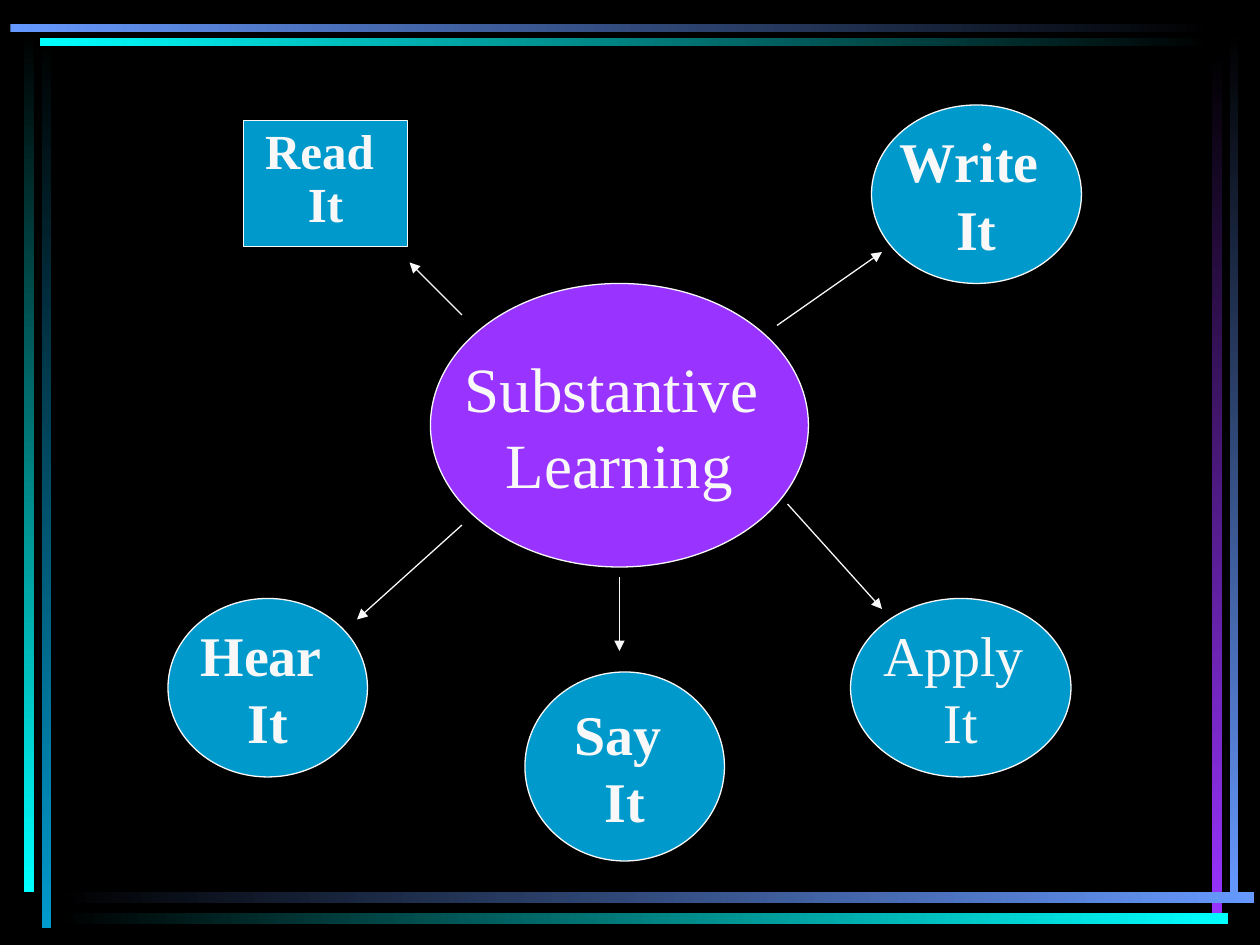
import pptx
import pptx.dml.color
import pptx.enum.shapes
import pptx.enum.text
import pptx.oxml.ns
import pptx.util
from lxml import etree
from dataclasses import dataclass

COLUMNS, ROWS = 120, 90  # grid cells of a twelfth of an inch


@dataclass(frozen=True)
class Theme:
    background: str = "000000"
    text: str = "F8F8F8"
    purple: str = "9933FF"
    teal: str = "0099CC"
    cyan: str = "00FFFF"
    blue: str = "6699FF"
    font: str = "Times New Roman"
    hub_size: int = 36
    branch_size: int = 32
    body_size: int = 28
    line_width: float = 0.75


def rgb(value):
    return pptx.dml.color.RGBColor.from_string(value)


def apply_format(target, values):
    for name, value in values.items():
        setattr(target, name, value)


class DiagramSlide:
    """Holds the theme and the current slide; draws on the grid."""

    def __init__(self, presentation, theme):
        self.theme = theme
        self.cell_width = presentation.slide_width / COLUMNS
        self.cell_height = presentation.slide_height / ROWS
        self.slide = presentation.slides.add_slide(presentation.slide_layouts[1])
        title = self.slide.shapes.title.element
        title.getparent().remove(title)
        fill = self.slide.background.fill
        fill.solid()
        fill.fore_color.rgb = rgb(theme.background)

    def place(self, column, row, width, height):
        return [round(column * self.cell_width), round(row * self.cell_height),
                round(width * self.cell_width), round(height * self.cell_height)]

    def paint(self, shape, color):
        shape.fill.solid()
        shape.fill.fore_color.rgb = rgb(color)
        self.outline(shape)

    def outline(self, shape):
        shape.line.color.rgb = rgb(self.theme.text)
        shape.line.width = pptx.util.Pt(self.theme.line_width)

    def label(self, shape, lines, size, bold, paragraph_format):
        frame = shape.text_frame
        frame.text = "\n".join(lines)
        for paragraph in frame.paragraphs:
            apply_format(paragraph, {"alignment": pptx.enum.text.PP_ALIGN.CENTER,
                                     **paragraph_format})
            apply_format(paragraph.font, {"name": self.theme.font, "bold": bold,
                                          "size": pptx.util.Pt(size)})
            paragraph.font.color.rgb = rgb(self.theme.text)

    def bar(self, box, start, end, vertical):
        shape = self.slide.shapes.add_shape(
            pptx.enum.shapes.MSO_SHAPE.RECTANGLE, *self.place(*box))
        shape.shadow.inherit = False
        shape.line.fill.background()
        shape.fill.gradient()
        shape.fill.gradient_angle = 270 if vertical else 0
        for stop, color in zip(shape.fill.gradient_stops, (start, end)):
            stop.color.rgb = rgb(color)

    def oval(self, box, lines, color, size, bold):
        shape = self.slide.shapes.add_shape(
            pptx.enum.shapes.MSO_SHAPE.OVAL, *self.place(*box))
        shape.shadow.inherit = False
        self.paint(shape, color)
        apply_format(shape.text_frame, {
            "word_wrap": False,
            "vertical_anchor": pptx.enum.text.MSO_ANCHOR.MIDDLE})
        self.label(shape, lines, size, bold, {})

    def body(self, box, lines, color):
        shape = self.slide.placeholders[1]
        apply_format(shape, dict(zip(("left", "top", "width", "height"),
                                     self.place(*box))))
        self.paint(shape, color)
        apply_format(shape.text_frame, {
            "word_wrap": True, "auto_size": pptx.enum.text.MSO_AUTO_SIZE.NONE,
            "vertical_anchor": pptx.enum.text.MSO_ANCHOR.TOP})
        self.label(shape, lines, self.theme.body_size, True, {
            "line_spacing": 0.9, "space_before": pptx.util.Pt(0)})
        indent = pptx.util.Inches(0.38)
        for paragraph in shape.text_frame.paragraphs:
            properties = paragraph._p.get_or_add_pPr()
            properties.set("marL", str(indent))
            properties.set("indent", str(-indent))
            bullet = etree.Element(pptx.oxml.ns.qn("a:buNone"))
            properties.insert_element_before(bullet, "a:tabLst", "a:defRPr", "a:extLst")

    def arrow(self, start, end):
        connector = self.slide.shapes.add_connector(
            pptx.enum.shapes.MSO_CONNECTOR.STRAIGHT,
            *self.place(*start, *end))
        self.outline(connector)
        etree.SubElement(connector.line._get_or_add_ln(),
                         pptx.oxml.ns.qn("a:tailEnd"), type="triangle")
        etree.SubElement(connector.element.spPr, pptx.oxml.ns.qn("a:effectLst"))


def main():
    presentation = pptx.Presentation()
    presentation.slide_width = pptx.util.Inches(10)
    presentation.slide_height = pptx.util.Inches(7.5)
    theme = Theme()
    diagram = DiagramSlide(presentation, theme)

    # Frame: upright bars brighten downwards
    for box, color in [((4, 3.4, 0.9, 85), theme.teal),
                       ((2.3, 3, 0.9, 82), theme.cyan),
                       ((117.1, 2.9, 0.8, 83.1), theme.blue),
                       ((115.4, 5, 1, 82), theme.purple)]:
        diagram.bar(box, theme.background, color, vertical=True)

    # Frame: the lower bars brighten to the right, the upper ones to the left
    for box, color in [((5.4, 85, 114, 1), theme.blue),
                       ((5.4, 87, 111.6, 1), theme.cyan)]:
        diagram.bar(box, theme.background, color, vertical=False)
    for box, color in [((3.8, 3.6, 111.8, 0.8), theme.cyan),
                       ((1, 2.3, 114.7, 0.8), theme.blue)]:
        diagram.bar(box, color, theme.background, vertical=False)

    # Hub and branches
    diagram.oval((41, 27, 36, 27), ["Substantive ", "Learning"],
                 theme.purple, theme.hub_size, False)
    for box, verb, bold in [((83, 10, 20, 17), "Write ", True),
                            ((16, 57, 19, 17), "Hear ", True),
                            ((50, 64, 19, 18), "Say ", True),
                            ((81, 57, 21, 17), "Apply ", False)]:
        diagram.oval(box, [verb, "It"], theme.teal, theme.branch_size, bold)
    diagram.body((23.2, 11.5, 15.6, 12), ["Read ", "It"], theme.teal)

    # Arrows from the hub outwards
    for start, end in [((44, 30), (39, 25)), ((74, 31), (84, 24)),
                       ((44, 50), (34, 59)), ((59, 55), (59, 62)),
                       ((75, 48), (84, 58))]:
        diagram.arrow(start, end)

    presentation.save("out.pptx")


if __name__ == "__main__":
    main()
